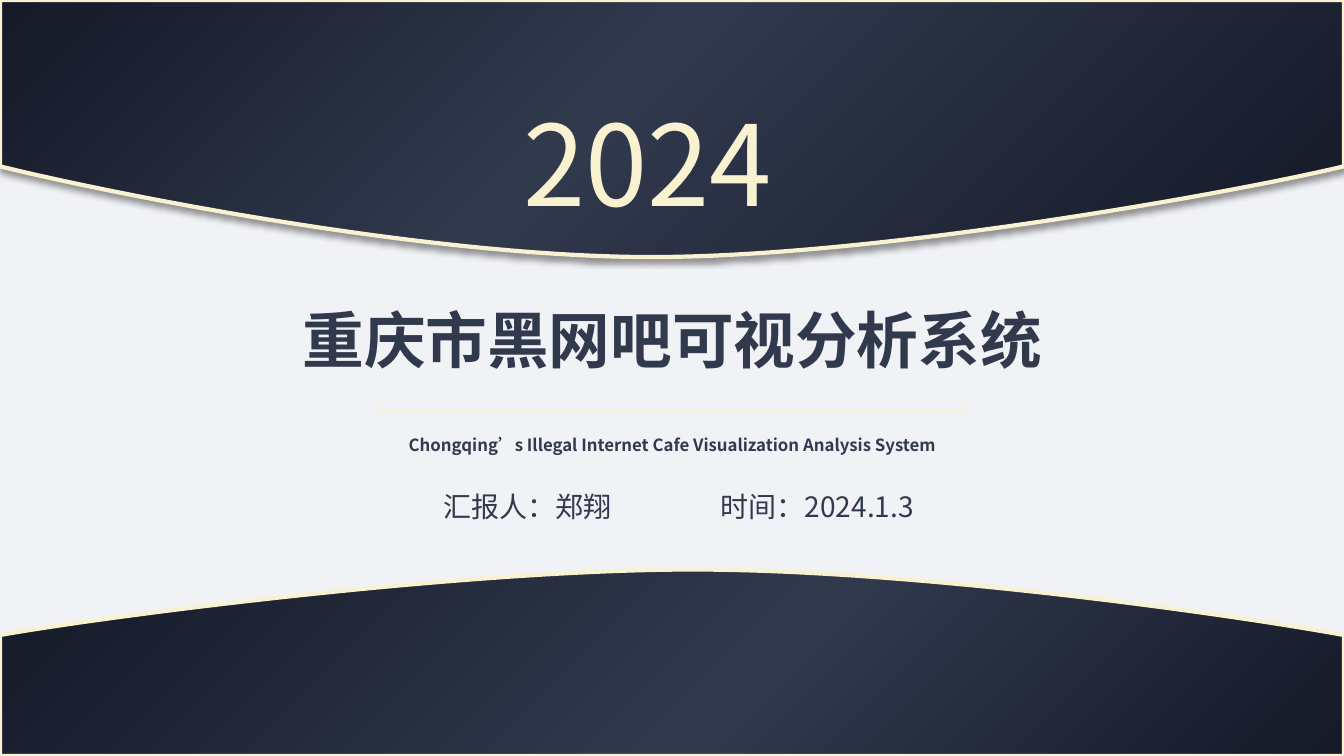
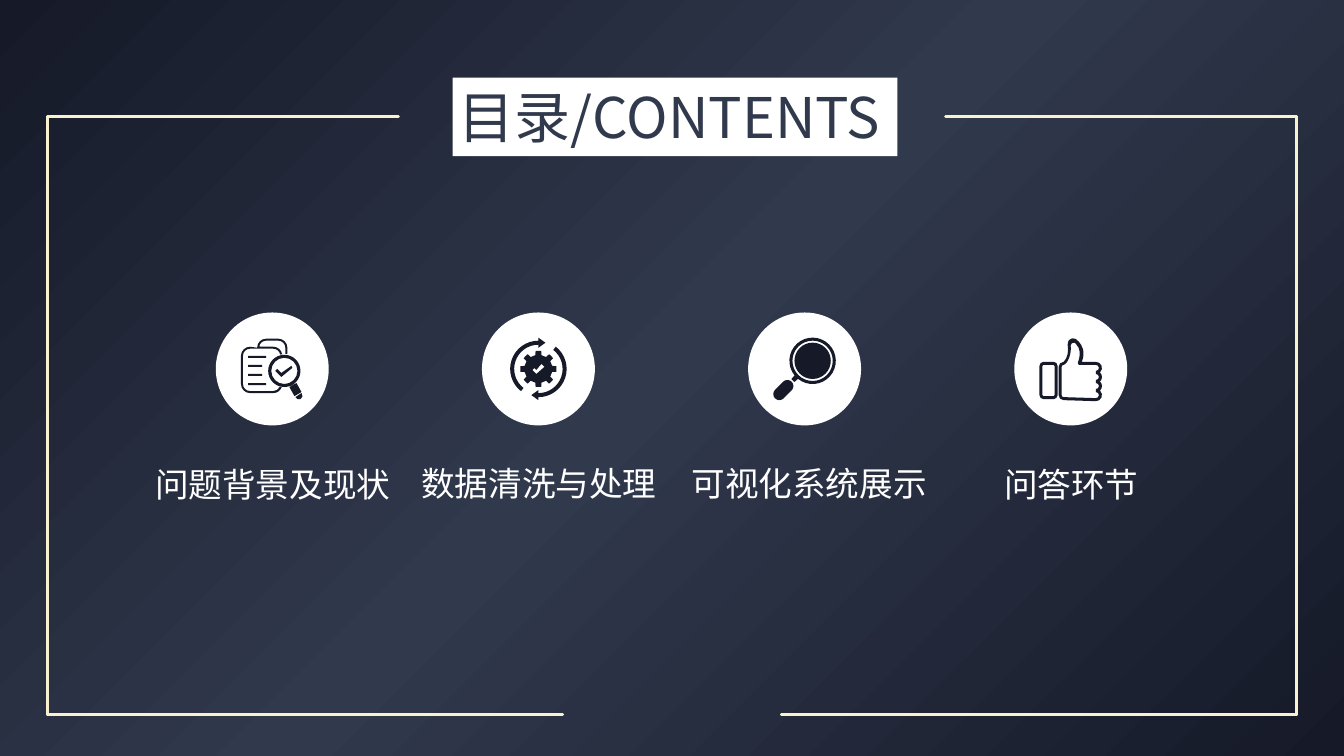
"""Builds a cover and a contents slide in navy and cream."""
import copy
import math

import lxml.etree
import pptx
import pptx.dml.color
import pptx.enum.lang
import pptx.enum.shapes
import pptx.enum.text
import pptx.oxml.ns
import pptx.util

Inches = pptx.util.Inches
Pt = pptx.util.Pt
RGBColor = pptx.dml.color.RGBColor
KIND = pptx.enum.shapes.MSO_SHAPE
ALIGN = pptx.enum.text.PP_ALIGN
qn = pptx.oxml.ns.qn

NAVY = RGBColor(0x15, 0x19, 0x28)
SLATE = RGBColor(0x31, 0x39, 0x4D)
CREAM = RGBColor(0xF8, 0xF2, 0xD0)
PALE = RGBColor(0xF1, 0xF2, 0xF6)
WHITE = RGBColor(0xFF, 0xFF, 0xFF)
BLACK = RGBColor(0, 0, 0)
FONT = "Noto Sans CJK SC"


def arc(x, y, radius, first, last):
    count = max(1, math.ceil(abs(last - first) / 90))
    delta = math.radians(last - first) / count
    pull = 4 / 3 * math.tan(delta / 4)

    def spot(turn, along):
        cos, sin = math.cos(turn), math.sin(turn)
        return x + radius * (cos - along * sin), y + radius * (sin + along * cos)

    steps = [spot(math.radians(first), 0)]
    for index in range(count):
        turn = math.radians(first) + index * delta
        steps.append(spot(turn, pull) + spot(turn + delta, -pull) + spot(turn + delta, 0))
    return steps


def ring(x, y, radius):
    return arc(x, y, radius, 0, 360)


def block(x, y, width, height):
    return [(x, y), (x + width, y), (x + width, y + height), (x, y + height)]


def round_block(x, y, width, height, radius):
    right, base = x + width - radius, y + height - radius
    left, top = x + radius, y + radius
    return (arc(left, top, radius, 180, 270) + arc(right, top, radius, 270, 360)
            + arc(right, base, radius, 0, 90) + arc(left, base, radius, 90, 180))


class Deck:
    def __init__(self):
        self.show = pptx.Presentation()
        self.show.slide_width = Inches(13.33)
        self.show.slide_height = Inches(7.5)
        self.slide = None

    def page(self, color=None):
        self.slide = self.show.slides.add_slide(self.show.slide_layouts[6])
        fill = self.slide.background.fill
        if color is None:
            self.blend(fill, self.slide.element, 49)
        else:
            fill.solid()
            fill.fore_color.rgb = color

    def blend(self, fill, node, middle):
        fill.gradient()
        fill.gradient_angle = 315
        stops = node.find(".//" + qn("a:gsLst"))
        stops.append(copy.deepcopy(stops[0]))
        looks = ((0, NAVY), (middle, SLATE), (100, NAVY))
        for stop, (place, color) in zip(fill.gradient_stops, looks):
            stop.position = place / 100
            stop.color.rgb = color

    def paint(self, shape, fill):
        shape.shadow.inherit = False
        shape.fill.solid()
        shape.fill.fore_color.rgb = fill
        shape.line.fill.background()

    def stroke(self, shape, color, weight):
        shape.line.color.rgb = color
        shape.line.width = Pt(weight)

    def shape(self, kind, x, y, width, height, fill=WHITE):
        item = self.slide.shapes.add_shape(
            kind, Inches(x), Inches(y), Inches(width), Inches(height))
        self.paint(item, fill)

    def trace(self, left, top, loops, fill=NAVY):
        pen = None
        for loop in loops:
            flat = [value for step in loop for value in step]
            spots = [(Inches(left + x), Inches(top + y))
                     for x, y in zip(flat[::2], flat[1::2])]
            if pen is None:
                pen = self.slide.shapes.build_freeform(*spots[0])
            else:
                pen.move_to(*spots[0])
            pen.add_line_segments(spots[1:], close=True)
        item = pen.convert_to_shape()
        self.bend(item, [step for loop in loops for step in loop[1:]])
        self.paint(item, fill)
        return item

    def bend(self, shape, steps):
        nodes = iter(list(shape.element.iter(qn("a:lnTo"))))
        for step in steps:
            node = next(nodes)
            if len(step) == 6:
                node.tag = qn("a:cubicBezTo")
                for extra in (next(nodes), next(nodes)):
                    node.append(extra[0])
                    extra.getparent().remove(extra)

    def line(self, x1, y1, x2, y2, weight=2.25):
        item = self.slide.shapes.add_connector(
            pptx.enum.shapes.MSO_CONNECTOR.STRAIGHT,
            Inches(x1), Inches(y1), Inches(x2), Inches(y2))
        self.stroke(item, CREAM, weight)
        item.element.find(".//" + qn("a:ln")).set("cap", "rnd")
        lxml.etree.SubElement(item.element.spPr, qn("a:effectLst"))

    def band(self, top, depth, edge, pull):
        loop = [(0, 0), (13.33, 0), (13.33, edge),
                (12.2, pull, 8.68, depth, 6.46, depth),
                (4.24, depth, 1.09, pull, 0, edge)]
        item = self.trace(0, top, [loop])
        self.blend(item.fill, item.element, 44)
        self.stroke(item, CREAM, 3)
        return item

    def shade(self, shape):
        effect = shape.element.spPr.find(qn("a:effectLst"))
        outer = lxml.etree.SubElement(
            effect, qn("a:outerShdw"), blurRad=str(Pt(4)), dist=str(Pt(3)),
            dir="5400000", algn="t", rotWithShape="0")
        color = lxml.etree.SubElement(outer, qn("a:srgbClr"), val=str(BLACK))
        lxml.etree.SubElement(color, qn("a:alpha"), val="40000")

    def text(self, words, x, y, width, height, size=20, color=SLATE,
             bold=False, align=ALIGN.CENTER, wrap=True):
        box = self.slide.shapes.add_textbox(
            Inches(x), Inches(y), Inches(width), Inches(height))
        box.text_frame.word_wrap = wrap
        part = box.text_frame.paragraphs[0]
        part.alignment = align
        run = part.add_run()
        run.text = words
        font = run.font
        font.size, font.bold, font.name = Pt(size), bold, FONT
        font.color.rgb = color
        font.language_id = pptx.enum.lang.MSO_LANGUAGE_ID.SIMPLIFIED_CHINESE
        latin = box.element.find(".//" + qn("a:latin"))
        latin.addnext(latin.makeelement(qn("a:ea"), {"typeface": FONT}))


def report():
    pages = (arc(0.34, 0.71, 0.09, 90, 180) + arc(0.34, 0.43, 0.09, 180, 270)
             + arc(0.5, 0.35, 0.09, 180, 270) + arc(0.62, 0.35, 0.09, 270, 360)
             + [(0.71, 0.41), (0.69, 0.41)]
             + arc(0.62, 0.35, 0.07, 360, 270) + arc(0.5, 0.35, 0.07, 270, 190)
             + arc(0.57, 0.43, 0.09, 270, 350) + arc(0.57, 0.43, 0.07, 350, 270)
             + arc(0.34, 0.43, 0.07, 270, 180) + arc(0.34, 0.71, 0.07, 180, 90)
             + arc(0.57, 0.71, 0.07, 90, 25) + arc(0.57, 0.71, 0.09, 20, 90))
    rows = [block(0.32, 0.43 + 0.09 * row, width, 0.02)
            for row, width in enumerate((0.18, 0.14, 0.14, 0.18))]
    grip = [(0.8, 0.7), (0.73, 0.74), (0.78, 0.83), (0.85, 0.79)]
    cap = [(0.85, 0.8), (0.79, 0.84), (0.8, 0.86, 0.82, 0.87, 0.84, 0.86),
           (0.86, 0.85, 0.87, 0.82, 0.85, 0.8)]
    tick = [(0.65, 0.6), (0.61, 0.56), (0.59, 0.58), (0.65, 0.64), (0.76, 0.55), (0.75, 0.53)]
    return [pages, ring(0.68, 0.58, 0.16), ring(0.68, 0.58, 0.13), grip, cap, tick] + rows


def gear():
    x, y = 0.56, 0.56
    tick = [(0.59, 0.51), (0.54, 0.57), (0.52, 0.55), (0.5, 0.57), (0.54, 0.61), (0.62, 0.54)]
    teeth = []
    for turn in range(0, 360, 45):
        teeth += arc(x, y, 0.18, turn - 9, turn + 9) + arc(x, y, 0.14, turn + 12, turn + 33)
    loops = [tick, teeth]
    for turn, side in ((0, 1), (180, -1)):
        tip = [(x + side * a, y + side * b) for a, b in ((0, 0.31), (-0.07, 0.26), (0, 0.21))]
        loops.append(arc(x, y, 0.28, turn - 52, turn + 90) + tip
                     + arc(x, y, 0.24, turn + 90, turn - 52))
    return loops


def lens():
    grip = arc(0.39, 0.73, 0.06, -135, 45) + arc(0.31, 0.81, 0.06, 45, 225)
    frame = arc(0.64, 0.48, 0.23, 141, 489) + [(0.46, 0.69), (0.43, 0.66)]
    return [grip, frame, ring(0.64, 0.48, 0.2), ring(0.64, 0.48, 0.18)]


def thumb():
    outer = (arc(0.49, 0.82, 0.05, 90, 180) + arc(0.49, 0.54, 0.05, 180, 270)
             + [(0.53, 0.45, 0.54, 0.39, 0.53, 0.32), (0.53, 0.24, 0.61, 0.24, 0.64, 0.29),
                (0.67, 0.32, 0.71, 0.39, 0.67, 0.49)])
    inner = (arc(0.49, 0.82, 0.02, 90, 180) + arc(0.49, 0.54, 0.02, 180, 270)
             + [(0.53, 0.51, 0.57, 0.41, 0.56, 0.33), (0.56, 0.3, 0.6, 0.29, 0.61, 0.31),
                (0.66, 0.36, 0.66, 0.42, 0.63, 0.5), (0.64, 0.52)])
    for row in range(4):
        y = 0.55 + 0.09 * row
        outer += arc(0.81, y, 0.06, -45 if row else -90, 45 if row < 3 else 90)
        inner += arc(0.81, y, 0.03, -90, 90)
    return [round_block(0.25, 0.49, 0.18, 0.37, 0.04),
            round_block(0.28, 0.52, 0.12, 0.31, 0.01), outer, inner]


def cover(deck):
    deck.page(PALE)
    deck.shade(deck.band(0, 2.55, 1.65, 1.92))
    deck.band(5.65, 1.85, 1.2, 1.4).rotation = 180
    deck.text("2024", 5.09, 0.89, 3.16, 1.45, size=80, color=CREAM, align=ALIGN.JUSTIFY)
    deck.text("Chongqing’s Illegal Internet Cafe Visualization Analysis System",
              3.41, 4.26, 6.52, 0.3, size=12, bold=True)
    deck.text("重庆市黑网吧可视分析系统", 2.73, 2.95, 7.88, 0.84, size=44, bold=True)
    deck.line(3.75, 4.07, 9.58, 4.07, weight=2)
    deck.text("汇报人：郑翔", 3.79, 4.81, 2.88, 0.44)
    deck.text("时间：2024.1.3", 6.98, 4.81, 2.25, 0.44)


def agenda(deck):
    deck.page()
    items = (("问题背景及现状", 1.44, 4.55, 2.53, report),
             ("数据清洗与处理", 4.08, 4.54, 2.53, gear),
             ("可视化系统展示", 6.76, 4.54, 2.53, lens),
             ("问答环节", 9.86, 4.55, 1.53, thumb))
    for index, (words, x, y, width, icon) in enumerate(items):
        left = 2.14 + 2.64 * index
        deck.shape(KIND.OVAL, left, 3.1, 1.12, 1.12)
        deck.trace(left, 3.1, icon())
        deck.text(words, x, y, width, 0.5, size=24, color=WHITE, wrap=False)
    for side, top, base in ((0.47, 3.95, 5.58), (12.86, 9.38, 7.75)):
        deck.line(side, 7.09, base, 7.09)
        deck.line(side, 7.09, side, 1.16)
        deck.line(side, 1.16, top, 1.16)
    deck.shape(KIND.RECTANGLE, 4.49, 0.77, 4.41, 0.78)
    deck.text("目录/CONTENTS", 4.44, 0.77, 4.4, 0.77, size=40)


def main():
    deck = Deck()
    cover(deck)
    agenda(deck)
    deck.show.save("out.pptx")


if __name__ == "__main__":
    main()
